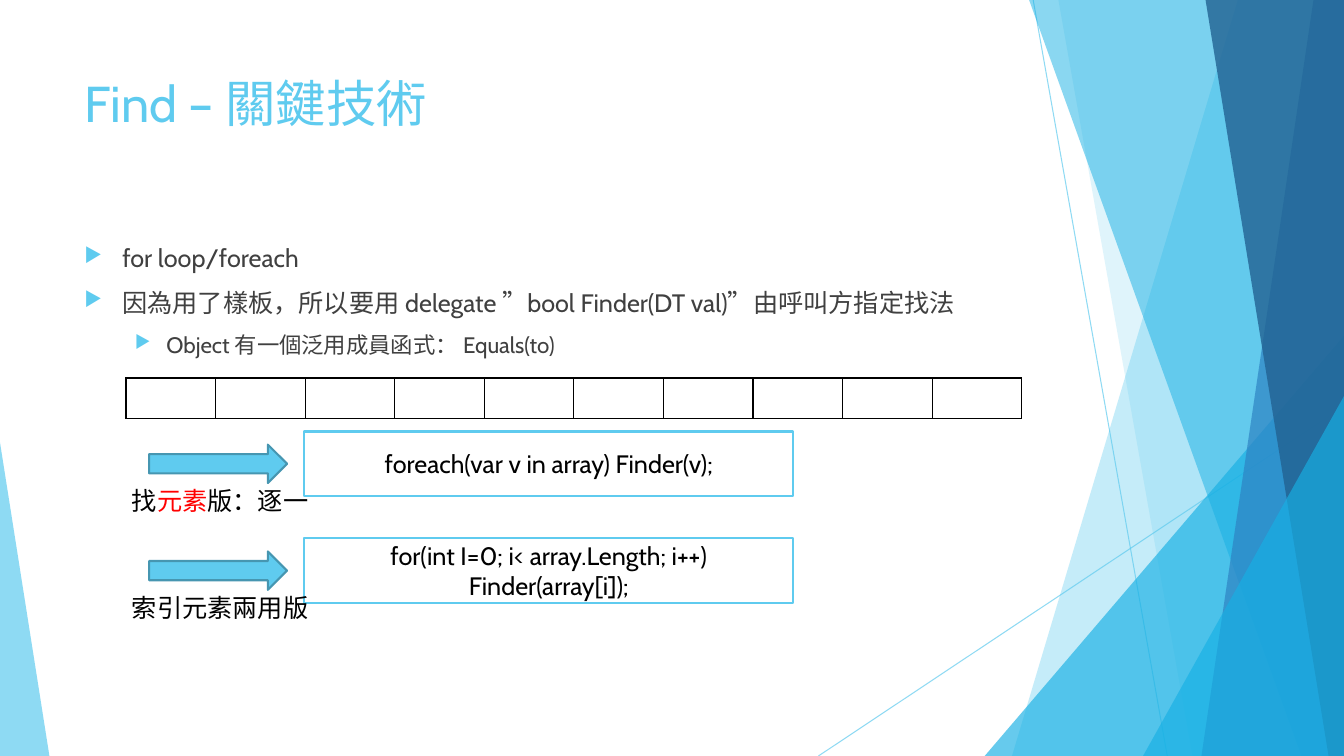
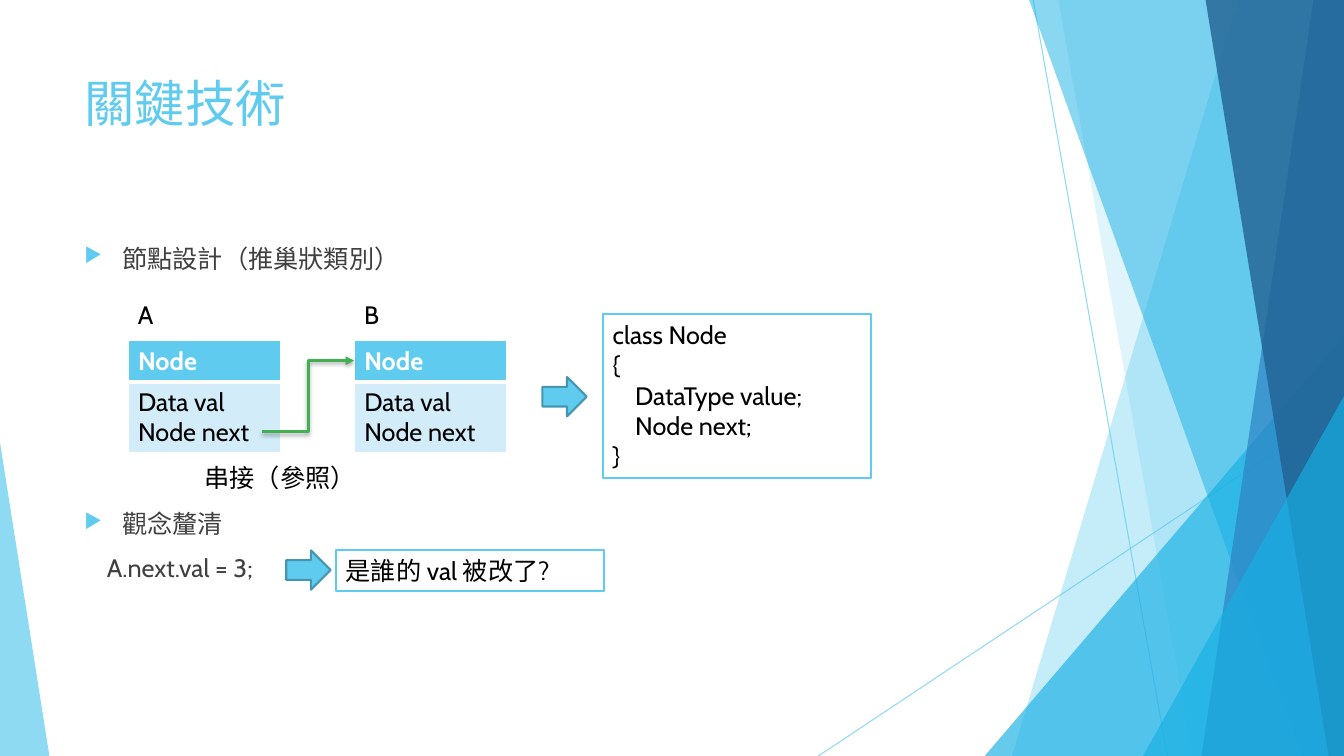
from collections import namedtuple

from lxml.etree import SubElement
from pptx import Presentation
from pptx.dml.color import RGBColor
from pptx.enum.shapes import MSO_CONNECTOR as Connector, MSO_SHAPE as Shape
from pptx.enum.text import MSO_ANCHOR as Anchor, PP_ALIGN as Align
from pptx.oxml.ns import qn
from pptx.util import Pt

SKY = RGBColor(0x5F, 0xCB, 0xEF)
CYAN = RGBColor(0x17, 0xB0, 0xE4)
BLUE = RGBColor(0x2E, 0x83, 0xC3)
NAVY = RGBColor(0x22, 0x62, 0x92)
EDGE = RGBColor(0x46, 0x96, 0xB1)
PALE = RGBColor(0xD2, 0xEC, 0xF9)
GREEN = RGBColor(0x42, 0xB0, 0x51)
RED = RGBColor(0xFF, 0, 0)
GREY = RGBColor(0x40, 0x40, 0x40)
BLACK = RGBColor(0, 0, 0)
WHITE = RGBColor(0xFF, 0xFF, 0xFF)

FONT = "Cabin"
WIDTH, HEIGHT = 960, 540
TEXT_LEFT, TEXT_WIDTH = 53.3, 676.8

Box = namedtuple("Box", "left top width height")
Span = namedtuple("Span", "text color", defaults=[None])
Para = namedtuple("Para", "spans margin hang before level size bullet",
                  defaults=[0, 0, 0, 0, 18, False])

# Bands reach the right edge: top x, bottom x. Triangles: box, apex position.
FACETS = [
    ("band", (884.2, 722.9), SKY, 36),
    ("band", (756, 851.8), SKY, 20),
    ("triangle", (Box(703.4, 239.8, 256.6, 300.2), 1), CYAN, 66),
    ("band", (735.1, 929.5), CYAN, 50),
    ("band", (938.2, 858.2), BLUE, 70),
    ("band", (861.1, 949), NAVY, 80),
    ("triangle", (Box(816.5, 283, 143.5, 257), 1), CYAN, 66),
    ("triangle", (Box(0, 316.1, 35.3, 223.9), 0), SKY, 70),
]
RAYS = [(738, 0, 833.8, HEIGHT), (WIDTH, 290.2, 584.6, HEIGHT)]


def pts(values):
    return [Pt(value) for value in values]


def assign(target, values):
    for name, value in values.items():
        setattr(target, name, value)


def set_alpha(shape, percent):
    color = shape.element.spPr.find(".//" + qn("a:srgbClr"))
    SubElement(color, qn("a:alpha"), val=str(percent * 1000))


def paint(shape, fill, line=None, weight=1.5):
    shape.shadow.inherit = False
    shape.fill.solid()
    shape.fill.fore_color.rgb = fill
    if line is None:
        shape.line.fill.background()
    else:
        shape.line.color.rgb = line
        shape.line.width = Pt(weight)


def add_bullet(para):
    props = para._p.get_or_add_pPr()
    color = SubElement(props, qn("a:buClr"))
    SubElement(color, qn("a:srgbClr"), val=str(SKY))
    SubElement(props, qn("a:buSzPct"), val="80000")
    SubElement(props, qn("a:buChar"), char="▶")


def write(frame, paras, color=BLACK, bold=False, align=Align.LEFT):
    """Fill a text frame with Para records; a plain string is a simple one."""
    for index, item in enumerate(paras):
        if isinstance(item, str):
            item = Para(item)
        para = frame.add_paragraph() if index else frame.paragraphs[0]
        assign(para, {"alignment": align, "level": item.level,
                      "space_before": Pt(item.before)})
        props = para._p.get_or_add_pPr()
        props.set("marL", str(Pt(item.margin)))
        props.set("indent", str(Pt(-item.hang)))
        if item.bullet:
            add_bullet(para)
        spans = [Span(item.spans)] if isinstance(item.spans, str) else item.spans
        for part in spans:
            span = para.add_run()
            span.text = part.text
            assign(span.font, {"name": FONT, "size": Pt(item.size), "bold": bold})
            span.font.color.rgb = part.color or color


def text_box(page, box, paras, wrap=True, **style):
    frame = page.shapes.add_textbox(*pts(box)).text_frame
    assign(frame, {"word_wrap": wrap, "vertical_anchor": Anchor.TOP})
    write(frame, paras, **style)


def framed_text(page, box, paras, anchor=Anchor.TOP, **style):
    shape = page.shapes.add_shape(Shape.RECTANGLE, *pts(box))
    paint(shape, WHITE, SKY)
    assign(shape.text_frame, {"word_wrap": True, "vertical_anchor": anchor})
    write(shape.text_frame, paras, **style)


def block_arrow(page, box):
    paint(page.shapes.add_shape(Shape.RIGHT_ARROW, *pts(box)), SKY, EDGE)


def add_line(page, kind, ends, color, weight):
    """Add a connector and return it with its empty effect list."""
    line = page.shapes.add_connector(kind, *pts(ends))
    line.line.color.rgb = color
    line.line.width = Pt(weight)
    return line, SubElement(line.element.spPr, qn("a:effectLst"))


def backdrop(page):
    for ends in RAYS:
        ray, _ = add_line(page, Connector.STRAIGHT, ends, SKY, 0.75)
        set_alpha(ray, 70)
    for kind, geometry, color, alpha in FACETS:
        if kind == "band":
            top, bottom = geometry
            outline = page.shapes.build_freeform(Pt(top), 0)
            outline.add_line_segments([pts(point) for point in (
                (WIDTH, 0), (WIDTH, HEIGHT), (bottom, HEIGHT))])
            facet = outline.convert_to_shape()
        else:
            box, apex = geometry
            facet = page.shapes.add_shape(Shape.ISOSCELES_TRIANGLE, *pts(box))
            facet.adjustments[0] = apex
        paint(facet, color)
        set_alpha(facet, alpha)


def new_page(deck, title, body, body_height):
    page = deck.slides.add_slide(deck.slide_layouts[6])
    backdrop(page)
    text_box(page, Box(TEXT_LEFT, 48.2, TEXT_WIDTH, 103.7),
             [Para(title, size=36)], color=SKY)
    text_box(page, Box(TEXT_LEFT, 169.9, TEXT_WIDTH, body_height), body, color=GREY)
    return page


def bullet(text, before=10):
    return Para(text, margin=27, hang=27, before=before, bullet=True)


def style_cell(cell, fill, border, bottom=1):
    props = cell._tc.get_or_add_tcPr()
    for side, weight in (("L", 1), ("R", 1), ("T", 1), ("B", bottom)):
        line = SubElement(props, qn("a:ln" + side), w=str(Pt(weight)))
        solid = SubElement(line, qn("a:solidFill"))
        SubElement(solid, qn("a:srgbClr"), val=str(border))
    if fill is None:
        cell.fill.background()
    else:
        cell.fill.solid()
        cell.fill.fore_color.rgb = fill


def add_grid(page, box, heights, columns):
    grid = page.shapes.add_table(len(heights), columns, *pts(box)).table
    assign(grid, {"first_row": False, "horz_banding": False})
    for row, height in zip(grid.rows, heights):
        row.height = Pt(height)
    return grid


def array_strip(page, box, count):
    for cell in add_grid(page, box, [box.height], count).iter_cells():
        style_cell(cell, None, BLACK)


def search_row(page, box, label, code):
    """Arrow over its label on the left, framed code on the right."""
    framed_text(page, Box(box.left + 130.3, box.top, box.width - 130.3, box.height),
                [code], Anchor.MIDDLE, align=Align.CENTER)
    block_arrow(page, Box(box.left + 19.4, box.top + 9.4, 98.6, 27.4))
    text_box(page, Box(box.left, box.top + 35.2, 141.8, 29), [Para(label)], wrap=False)


def node_card(page, box, name):
    """Name above a two-row table with the fields of a node."""
    text_box(page, Box(box.left, box.top - 33.1, 123, 29), [name])
    head = 29.2
    grid = add_grid(page, box, [head, box.height - head], 1)
    title, fields = grid.iter_cells()
    style_cell(title, SKY, WHITE, bottom=3)
    write(title.text_frame, ["Node"], color=WHITE, bold=True)
    style_cell(fields, PALE, WHITE)
    write(fields.text_frame, ["Data val", "Node next"])


def reference_arrow(page, ends):
    line, effects = add_line(page, Connector.ELBOW, ends, GREEN, 2)
    SubElement(line.line._get_or_add_ln(), qn("a:tailEnd"), type="triangle")
    shadow = SubElement(effects, qn("a:outerShdw"), blurRad=str(Pt(3)),
                        dist=str(Pt(2)), dir="5400000", rotWithShape="0")
    color = SubElement(shadow, qn("a:srgbClr"), val=str(BLACK))
    SubElement(color, qn("a:alpha"), val="35000")


def find_page(deck):
    page = new_page(deck, "Find – 關鍵技術", [
        bullet("for loop/foreach"),
        bullet("因為用了樣板，所以要用 delegate ”bool Finder(DT val)”由呼叫方指定找法"),
        Para("Object 有一個泛用成員函式： Equals(to)", margin=58.5, hang=22.5,
             before=10, level=1, size=16, bullet=True),
    ], 305.3)
    array_strip(page, Box(90, 270, 640, 29.2), 10)
    rows = [
        ([Span("找"), Span("元素", RED), Span("版：逐一")],
         "foreach(var v in array) Finder(v);"),
        ("索引元素兩用版", "for(int I=0; i< array.Length; i++) Finder(array[i]);"),
    ]
    for index, (label, code) in enumerate(rows):
        search_row(page, Box(87.1, 308.2 + 76.3 * index, 479.5, 46.1), label, code)


def node_page(deck):
    page = new_page(deck, "關鍵技術", [
        bullet("節點設計（推巢狀類別）"),
        bullet("觀念釐清", before=168),
        Para("A.next.val = 3;", margin=16, before=10),
    ], 332.6)
    for left, name in ((91.4, "A"), (253, "B")):
        node_card(page, Box(left, 243.4, 109, 79.6), name)
    reference_arrow(page, (187.2, 308.2, 253, 257.6))
    text_box(page, Box(139, 326.9, 123.1, 29), ["串接（參照）"])
    framed_text(page, Box(430.6, 224.6, 191.5, 116.6), [
        "class Node", "{", Para("DataType value;", margin=16),
        Para("Node next;", margin=16), "}"])
    framed_text(page, Box(239.8, 393.1, 191.5, 29), ["是誰的 val 被改了?"])
    for left, top in ((387.4, 269.3), (204.5, 393.1)):
        block_arrow(page, Box(left, top, 31.7, 28.1))


def main():
    deck = Presentation()
    assign(deck, {"slide_width": Pt(WIDTH), "slide_height": Pt(HEIGHT)})
    find_page(deck)
    node_page(deck)
    deck.save("out.pptx")


if __name__ == "__main__":
    main()
